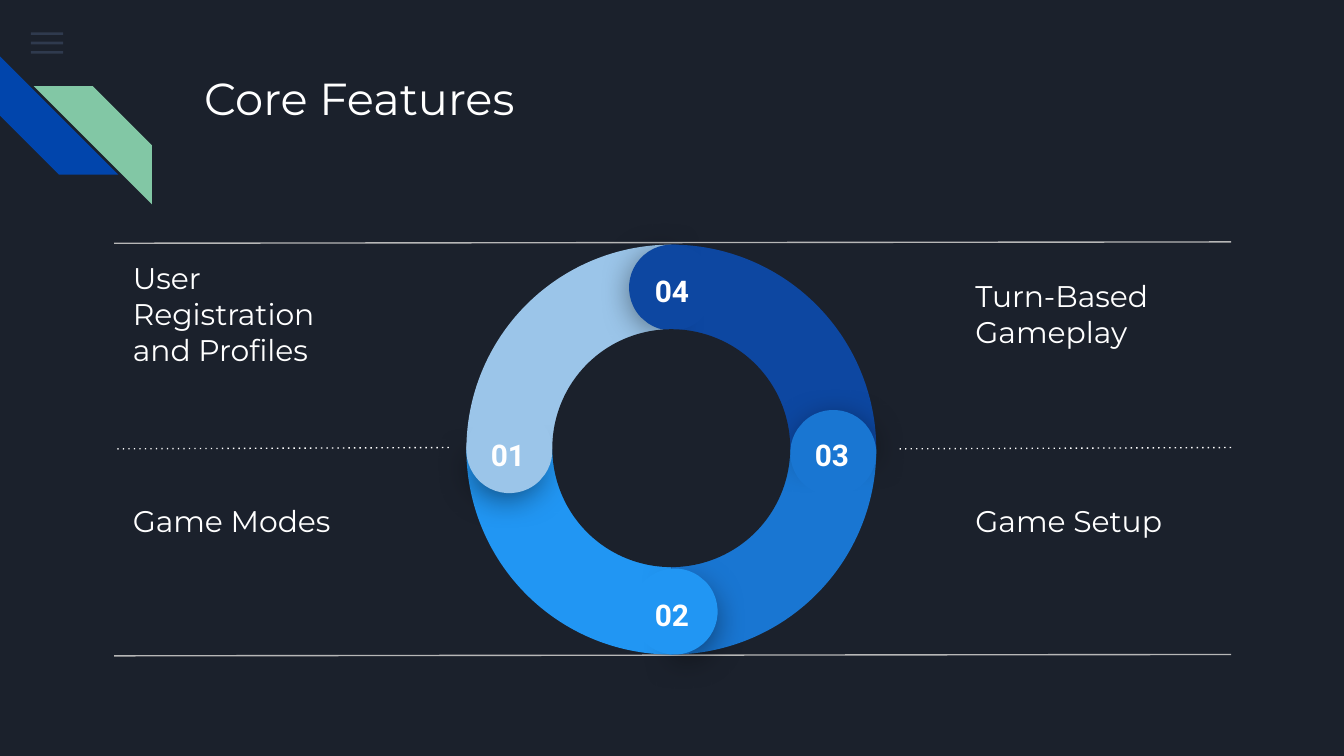
import lxml.etree
import pptx
import pptx.dml.color
import pptx.enum.shapes
import pptx.enum.text
import pptx.oxml.ns
import pptx.util

SHAPES = pptx.enum.shapes.MSO_SHAPE
ANCHORS = pptx.enum.text.MSO_ANCHOR
ALIGNMENTS = pptx.enum.text.PP_ALIGN
qn = pptx.oxml.ns.qn
rgb = pptx.dml.color.RGBColor.from_string
BACKGROUND, WHITE, GRAY = "1B212C", "FFFFFF", "B7B7B7"

presentation = pptx.Presentation()
presentation.slide_width = pptx.util.Inches(10)
presentation.slide_height = pptx.util.Inches(5.625)
cell = presentation.slide_width // 100
slide = presentation.slides.add_slide(presentation.slide_layouts[6])
slide.background.fill.solid()
slide.background.fill.fore_color.rgb = rgb(BACKGROUND)


def add_filled(preset, column, row, columns, rows, color, rotation=0, adjustments=()):
    box = [round(length * cell) for length in (column, row, columns, rows)]
    shape = slide.shapes.add_shape(preset, *box)
    shape.rotation = rotation
    for index, value in enumerate(adjustments):
        shape.adjustments[index] = value
    shape.fill.solid()
    shape.fill.fore_color.rgb = rgb(color)
    shape.line.fill.background()
    shape.shadow.inherit = False
    return shape


def add_text(text, column, row, columns, rows, size, font, anchor, alignment, bold=False):
    box = [round(length * cell) for length in (column, row, columns, rows)]
    frame = slide.shapes.add_textbox(*box).text_frame
    frame.word_wrap = True
    frame.vertical_anchor = anchor
    frame.margin_left = frame.margin_right = cell
    frame.margin_top = frame.margin_bottom = cell
    paragraph = frame.paragraphs[0]
    paragraph.alignment = alignment
    run = paragraph.add_run()
    run.text = text
    run.font.size = pptx.util.Pt(size)
    run.font.name = font
    run.font.bold = bold
    run.font.color.rgb = rgb(WHITE)


for bar_index in range(3):
    bar = add_filled(SHAPES.RECTANGLE, 2.3, 2.4 + 0.7 * bar_index, 2.4, 0.2, "55688B")
    bar_color = bar._element.spPr.find(".//" + qn("a:srgbClr"))
    lxml.etree.SubElement(bar_color, qn("a:alpha"), val="36000")

add_filled(SHAPES.DIAGONAL_STRIPE, 0, 4.2, 8.8, 8.8, "0145AC", 270, [0.5])
green_stripe = add_filled(SHAPES.DIAGONAL_STRIPE, 2.5, 6.4, 8.8, 8.8, "82C7A5", 0, [0.5])
green_stripe._element.spPr.find(qn("a:xfrm")).set("flipH", "1")

add_text("Core Features", 14.2, 4.3, 77, 10, 24, "Montserrat", ANCHORS.TOP, ALIGNMENTS.LEFT)

features = [
    ("User Registration and Profiles", 8.9, 20.9),
    ("Game Modes", 8.9, 36.3),
    ("Turn-Based Gameplay", 71.6, 20.9),
    ("Game Setup", 71.6, 36.3),
]
for feature, column, row in features:
    add_text(feature, column, row, 20.3, 4.9, 16, "Montserrat", ANCHORS.MIDDLE, ALIGNMENTS.LEFT)

rules = [
    (91.6, 8.5, 18, GRAY, False),
    (33.4, 8.5, 33.3, WHITE, True),
    (91.6, 66.7, 33.3, WHITE, True),
    (91.6, 8.5, 48.7, GRAY, False),
]
for right, left, row, color, dotted in rules:
    ends = [round(length * cell) for length in (right, row, left, row + 0.1)]
    connector = slide.shapes.add_connector(pptx.enum.shapes.MSO_CONNECTOR.STRAIGHT, *ends)
    connector.line.color.rgb = rgb(color)
    connector.line.width = pptx.util.Pt(0.75)
    properties = connector._element.spPr
    if dotted:
        lxml.etree.SubElement(properties.find(qn("a:ln")), qn("a:prstDash"), val="dot")
    lxml.etree.SubElement(properties, qn("a:effectLst"))

segments = [
    ("01", "9BC5E9", 0, (34.8, 30.7), (34.7, 30.3), (35, 31.5)),
    ("02", "2196F3", 270, (47.4, 42.8), (47, 42.3), (47.2, 43.4)),
    ("03", "1976D2", 180, (59.3, 30.7), (58.8, 30.5), (59.1, 31.5)),
    ("04", "0D47A1", 90, (47, 18.3), (46.8, 18.2), (47.2, 19.3)),
]
for number, color, turn, shaded, cap, label in segments:
    add_filled(SHAPES.PIE, 34.7, 18.2, 30.5, 30.5, color, turn, [107.96, 162.01])

for number, color, turn, shaded, cap, label in segments:
    shaded_cap = add_filled(
        SHAPES.PIE, *shaded, 5.7, 5.7, color, (turn + 39.5) % 360, [189.54, 83.81]
    )
    effects = shaded_cap._element.spPr.find(qn("a:effectLst"))
    shadow = lxml.etree.SubElement(
        effects, qn("a:outerShdw"), blurRad=str(pptx.util.Pt(18)),
        dist=str(pptx.util.Pt(4)), dir="5400000", algn="ctr", rotWithShape="0",
    )
    shadow_color = lxml.etree.SubElement(shadow, qn("a:srgbClr"), val="000000")
    lxml.etree.SubElement(shadow_color, qn("a:alpha"), val="55000")
    add_filled(SHAPES.CHORD, *cap, 6.4, 6.4, color, (turn + 4.1) % 360, [25.01, 18.12])
    add_text(number, *label, 5.6, 2.9, 16, "Roboto", ANCHORS.TOP, ALIGNMENTS.CENTER, True)

add_filled(SHAPES.OVAL, 41.1, 24.5, 17.7, 17.7, BACKGROUND)

presentation.save("out.pptx")
